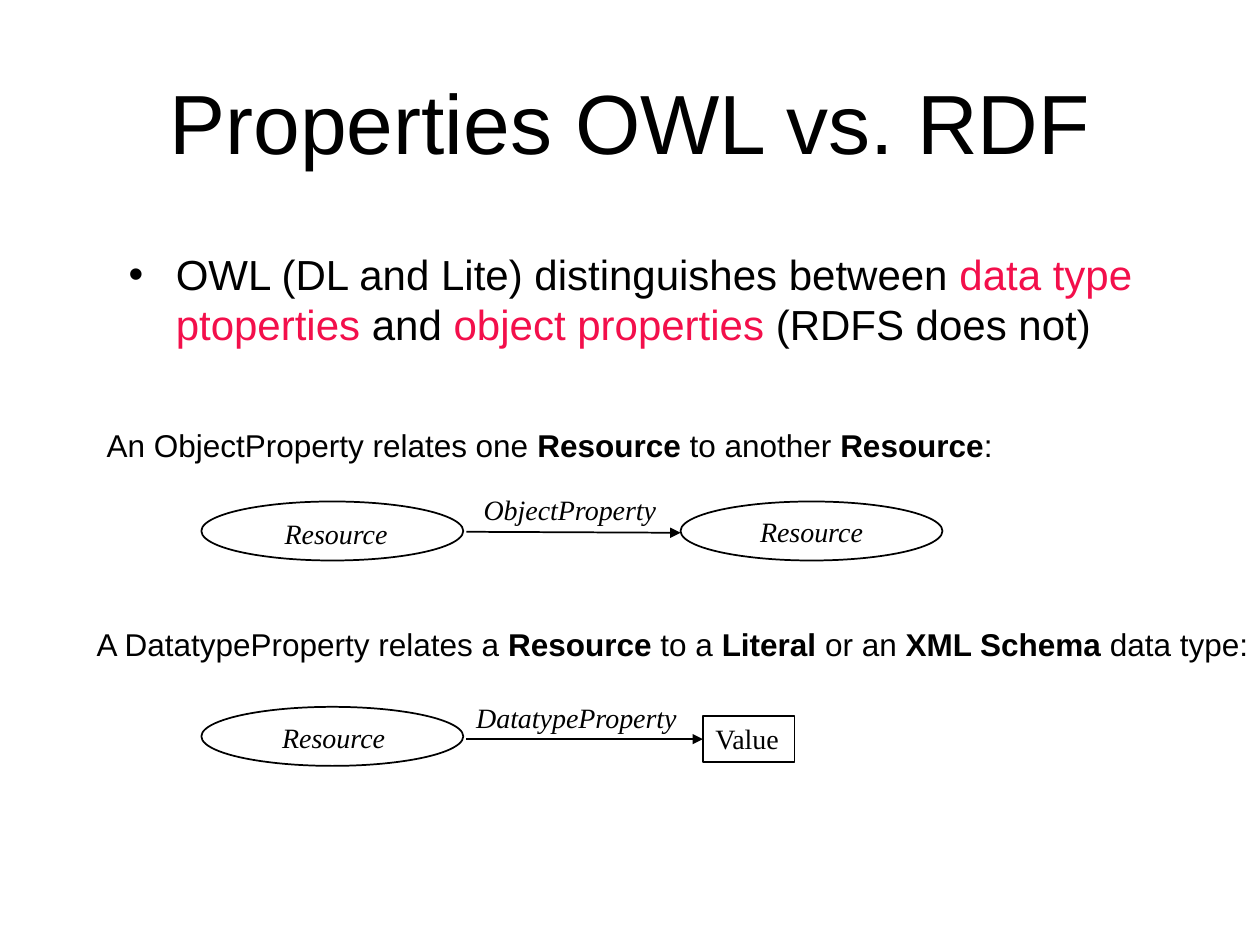
from typing import NamedTuple, Optional

from lxml import etree
from pptx import Presentation
from pptx.dml.color import RGBColor
from pptx.enum.shapes import MSO_CONNECTOR, MSO_SHAPE
from pptx.enum.text import MSO_ANCHOR, MSO_AUTO_SIZE, PP_ALIGN
from pptx.oxml.ns import qn
from pptx.util import Cm, Pt

OVAL, RECT = MSO_SHAPE.OVAL, MSO_SHAPE.RECTANGLE
STRAIGHT = MSO_CONNECTOR.STRAIGHT
MIDDLE, TOP = MSO_ANCHOR.MIDDLE, MSO_ANCHOR.TOP
CENTER, LEFT = PP_ALIGN.CENTER, PP_ALIGN.LEFT
FIT_SHAPE, NO_FIT = MSO_AUTO_SIZE.SHAPE_TO_FIT_TEXT, MSO_AUTO_SIZE.NONE

COLORS = {"ink": "000000", "paper": "FFFFFF", "accent": "F30F4B"}
TITLE = {"name": "Arial", "size": Pt(48)}
BODY = {"name": "Arial", "size": Pt(24)}
SENTENCE = {"name": "Arial", "size": Pt(18)}
VALUE = {"name": "Times New Roman", "size": Pt(16)}
TERM = {**VALUE, "italic": True}

OVAL_W, OVAL_H = 5.28, 1.19
LABEL_H = 0.94


class Span(NamedTuple):
    text: str
    color: str = "ink"
    bold: bool = False


class Label(NamedTuple):
    x: float
    y: float
    w: float
    h: float
    spans: list[Span]
    font: dict


class Resource(NamedTuple):
    x: float
    y: float
    text: Optional[str] = None


RESOURCES = [
    Resource(4.06, 10.11),
    Resource(13.72, 10.11, "Resource"),
    Resource(4.06, 14.25),
]
LABELS = [
    Label(9.5, 9.8, 4.01, LABEL_H, [Span("ObjectProperty")], TERM),
    Label(5.49, 10.29, 2.59, LABEL_H, [Span("Resource")], TERM),
    Label(9.35, 14.0, 4.57, LABEL_H, [Span("DatatypeProperty")], TERM),
    Label(5.44, 14.4, 2.59, LABEL_H, [Span("Resource")], TERM),
    Label(1.9, 8.46, 18.36, 1.02, [
        Span("An ObjectProperty relates one "),
        Span("Resource", bold=True),
        Span(" to another "),
        Span("Resource", bold=True),
        Span(":"),
    ], SENTENCE),
    Label(1.7, 12.47, 23.75, 1.02, [
        Span("A DatatypeProperty relates a "),
        Span("Resource", bold=True),
        Span(" to a "),
        Span("Literal", bold=True),
        Span(" or an "),
        Span("XML Schema", bold=True),
        Span(" data type:"),
    ], SENTENCE),
]


def rgb(key: str) -> RGBColor:
    return RGBColor.from_string(COLORS[key])


def write(p, spans: list[Span], font: dict) -> None:
    for span in spans:
        r = p.add_run()
        r.text = span.text
        for name, value in {**font, "bold": span.bold}.items():
            setattr(r.font, name, value)
        r.font.color.rgb = rgb(span.color)


def place(sp, x: float, y: float, w: float, h: float) -> None:
    box = {"left": x, "top": y, "width": w, "height": h}
    for name, value in box.items():
        setattr(sp, name, Cm(value))


def outline(sp) -> None:
    sp.line.color.rgb = rgb("ink")
    sp.line.width = Pt(1)


def add_node(shapes, kind, x: float, y: float, w: float, h: float):
    sp = shapes.add_shape(kind, Cm(x), Cm(y), Cm(w), Cm(h))
    sp.shadow.inherit = False
    outline(sp)
    sp.text_frame.word_wrap = False
    return sp


def add_resource(shapes, res: Resource) -> None:
    sp = add_node(shapes, OVAL, res.x, res.y, OVAL_W, OVAL_H)
    sp.fill.solid()
    sp.fill.fore_color.rgb = rgb("paper")
    if res.text:
        tf = sp.text_frame
        tf.vertical_anchor = MIDDLE
        tf.paragraphs[0].alignment = CENTER
        write(tf.paragraphs[0], [Span(res.text)], TERM)


def add_value(shapes):
    sp = add_node(shapes, RECT, 14.17, 14.43, 1.85, LABEL_H)
    sp.fill.background()
    tf = sp.text_frame
    tf.vertical_anchor = TOP
    tf.auto_size = FIT_SHAPE
    tf.paragraphs[0].alignment = LEFT
    write(tf.paragraphs[0], [Span("Value")], VALUE)
    return sp


def add_label(shapes, label: Label) -> None:
    sp = shapes.add_textbox(*map(Cm, label[:4]))
    tf = sp.text_frame
    tf.word_wrap = False
    tf.auto_size = FIT_SHAPE
    write(tf.paragraphs[0], label.spans, label.font)


def add_arrow(shapes, x1: float, y1: float, x2: float, y2: float):
    line = shapes.add_connector(STRAIGHT, Cm(x1), Cm(y1), Cm(x2), Cm(y2))
    outline(line)
    spPr = line._element.spPr
    etree.SubElement(spPr.find(qn("a:ln")), qn("a:tailEnd"), type="triangle")
    etree.SubElement(spPr, qn("a:effectLst"))
    return line


def fill_title(sp) -> None:
    place(sp, 1.9, 0.84, 21.6, 3.18)
    tf = sp.text_frame
    tf.auto_size = NO_FIT
    tf.vertical_anchor = MIDDLE
    tf.paragraphs[0].alignment = CENTER
    write(tf.paragraphs[0], [Span("Properties OWL vs. RDF")], TITLE)


def fill_body(sp) -> None:
    place(sp, 2.34, 4.88, 21.6, 11.43)
    sp.text_frame.auto_size = NO_FIT
    p = sp.text_frame.paragraphs[0]
    p.space_before = Pt(0)
    pPr = p._p.get_or_add_pPr()
    pPr.set("marL", str(Cm(0.95)))
    pPr.set("indent", str(-Cm(0.95)))
    etree.SubElement(pPr, qn("a:buChar"), char="•")
    write(p, [
        Span("OWL (DL and Lite) distinguishes between "),
        Span("data type ptoperties", "accent"),
        Span(" and "),
        Span("object properties", "accent"),
        Span(" (RDFS does not)"),
    ], BODY)


def main() -> None:
    prs = Presentation()
    prs.slide_width, prs.slide_height = Cm(25.4), Cm(19.05)
    s = prs.slides.add_slide(prs.slide_layouts[1])
    fill_title(s.shapes.title)
    fill_body(s.placeholders[1])
    for res in RESOURCES:
        add_resource(s.shapes, res)
    add_arrow(s.shapes, 9.4, 10.72, 13.72, 10.74)
    value = add_value(s.shapes)
    add_arrow(s.shapes, 9.4, 14.9, 14.17, 14.9).end_connect(value, 1)
    for label in LABELS:
        add_label(s.shapes, label)
    prs.save("out.pptx")


if __name__ == "__main__":
    main()
